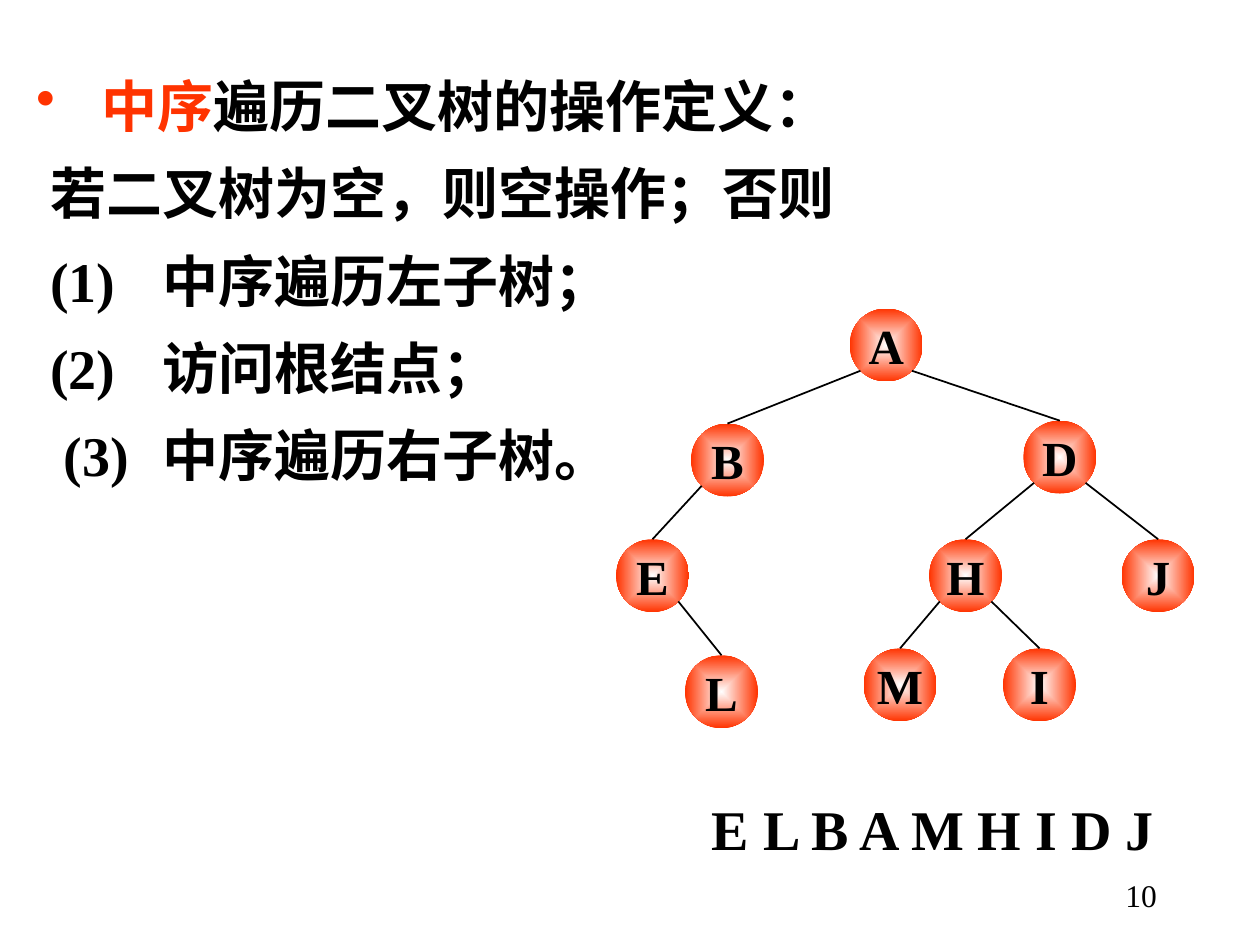
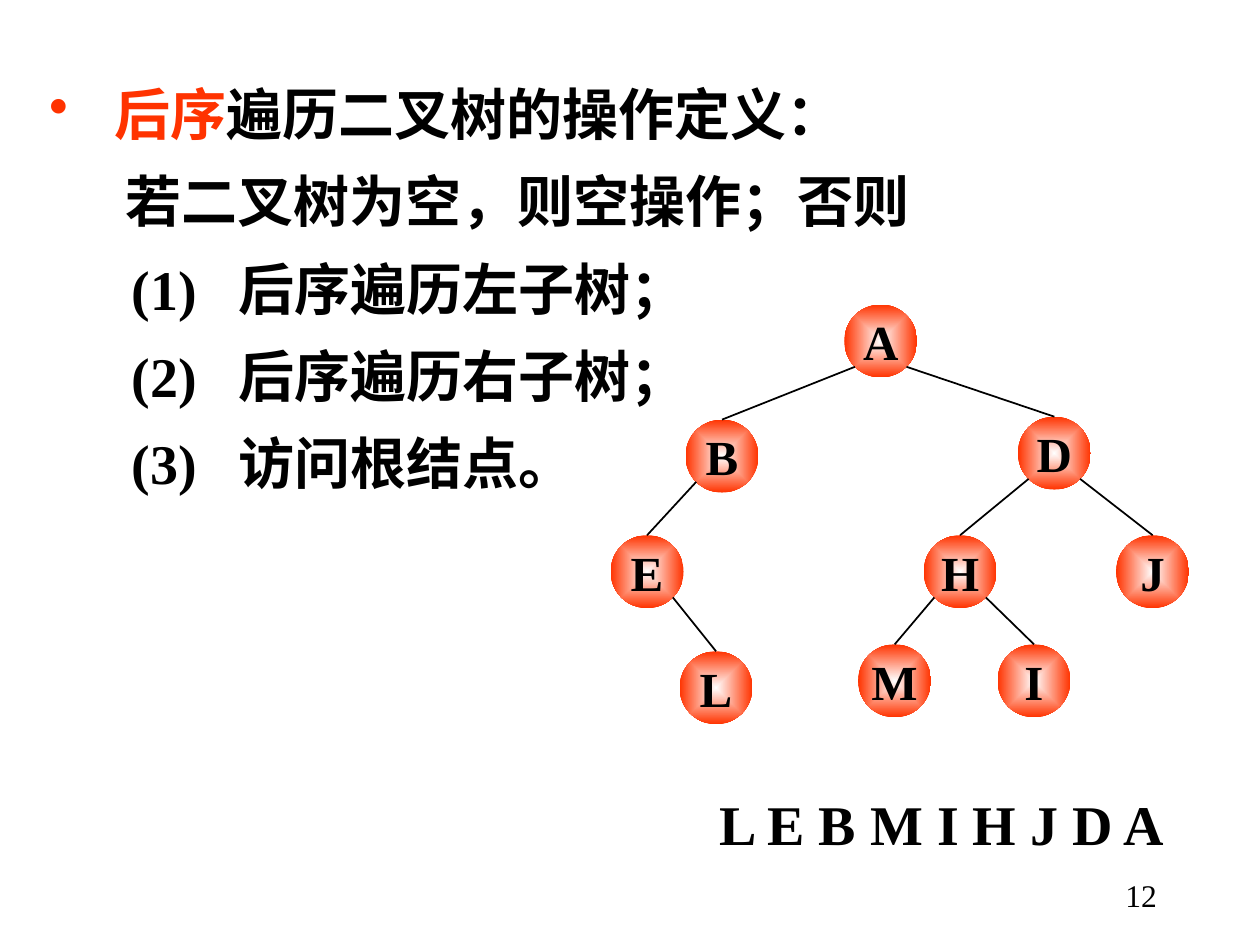
import math

import pptx
import pptx.util
import pptx.dml.color
import pptx.enum.shapes
import pptx.enum.text
import pptx.oxml
import pptx.oxml.ns
from lxml import etree

Cm = pptx.util.Cm
Pt = pptx.util.Pt
qn = pptx.oxml.ns.qn
ALIGN = pptx.enum.text.PP_ALIGN

COLORS = {"ink": "000000", "accent": "FF3300", "glow": "FFFFFF"}
SERIF = "Times New Roman"
FORMATS = {
    "definition": {"name": SERIF, "size": Pt(32), "bold": True},
    "node": {"name": SERIF, "size": Pt(28), "bold": True},
    "page": {"name": SERIF, "size": Pt(18), "bold": False},
}

TRAVERSALS = [
    {
        "order": "中序",
        "heading": "遍历二叉树的操作定义：",
        "condition": ("若二叉树为空，则空操作；否则", 0.28),
        "steps": [
            ("(1)", "中序遍历左子树；", 0.28),
            ("(2)", "访问根结点；", 0.28),
            ("(3)", "中序遍历右子树。", 0.56),
        ],
        "definition_at": (0.48, 0.91, 18.2, 9.07),
        "visited": "E L B A M H I D J",
        "visited_at": (14.1, 15.72, 10.2, 1.63),
        "tree_shift": (0, 0),
        "page": "10",
    },
    {
        "order": "后序",
        "heading": "遍历二叉树的操作定义：",
        "condition": ("若二叉树为空，则空操作；否则", 1.54),
        "steps": [
            ("(1)", "后序遍历左子树；", 1.66),
            ("(2)", "后序遍历右子树；", 1.66),
            ("(3)", "访问根结点。", 1.66),
        ],
        "definition_at": (0.74, 1.07, 20.3, 9.07),
        "visited": "L E B M I H J D A",
        "visited_at": (14.25, 15.62, 9.75, 1.63),
        "tree_shift": (-0.11, -0.08),
        "page": "12",
    },
]

NODES = {
    "A": (17.13, 6.22),
    "B": (13.93, 8.54),
    "D": (20.63, 8.48),
    "E": (12.42, 10.87),
    "H": (18.73, 10.87),
    "J": (22.61, 10.87),
    "L": (13.81, 13.21),
    "M": (17.41, 13.07),
    "I": (20.22, 13.07),
}
LEFT, RIGHT = -1, 1
BRANCHES = [
    ("A", "B", LEFT), ("A", "D", RIGHT), ("B", "E", LEFT), ("E", "L", RIGHT),
    ("D", "H", LEFT), ("D", "J", RIGHT), ("H", "M", LEFT), ("H", "I", RIGHT),
]
DIAMETER = 1.47
BULLET_GAP = 1.32
STEP_GAP = 2.13
PAGE_AT = (18.29, 17.53, 5.28, 1.27)


def rgb(color):
    return pptx.dml.color.RGBColor.from_string(COLORS[color])


def add_run(paragraph, text, style, color="ink"):
    run = paragraph.add_run()
    run.text = text
    for attribute, value in FORMATS[style].items():
        setattr(run.font, attribute, value)
    run.font.color.rgb = rgb(color)


def add_box(slide, at):
    frame = slide.shapes.add_textbox(*map(Cm, at)).text_frame
    frame.word_wrap = True
    return frame


def indent(paragraph, margin, first_line):
    properties = paragraph._p.get_or_add_pPr()
    properties.set("marL", str(Cm(margin)))
    properties.set("indent", str(Cm(first_line)))
    return properties


def add_definition(slide, traversal):
    frame = add_box(slide, traversal["definition_at"])

    heading = frame.paragraphs[0]
    properties = indent(heading, BULLET_GAP, -BULLET_GAP)
    bullet_color = etree.SubElement(properties, qn("a:buClr"))
    etree.SubElement(bullet_color, qn("a:srgbClr")).set("val", COLORS["accent"])
    etree.SubElement(properties, qn("a:buChar")).set("char", "•")
    add_run(heading, traversal["order"], "definition", "accent")
    add_run(heading, traversal["heading"], "definition")

    text, start = traversal["condition"]
    condition = frame.add_paragraph()
    indent(condition, 0, start)
    add_run(condition, text, "definition")

    for number, action, start in traversal["steps"]:
        step = frame.add_paragraph()
        properties = indent(step, 0, start)
        tabs = etree.SubElement(properties, qn("a:tabLst"))
        tab = etree.SubElement(tabs, qn("a:tab"))
        tab.set("pos", str(Cm(start + STEP_GAP)))
        tab.set("algn", "l")
        add_run(step, f"{number}\t{action}", "definition")

    for paragraph in frame.paragraphs:
        paragraph.line_spacing = 1.3


def fill_radiant(node):
    node.fill.gradient()
    for stop, (position, color) in zip(node.fill.gradient_stops, [(0, "glow"), (1, "accent")]):
        stop.position = position
        stop.color.rgb = rgb(color)
    gradient = node._element.spPr.find(qn("a:gradFill"))
    gradient.remove(gradient.find(qn("a:lin")))
    spread = etree.SubElement(gradient, qn("a:path"))
    spread.set("path", "rect")
    center = etree.SubElement(spread, qn("a:fillToRect"))
    for side in "ltrb":
        center.set(side, "50000")


def add_node(slide, letter, left, top):
    node = slide.shapes.add_shape(
        pptx.enum.shapes.MSO_SHAPE.OVAL, Cm(left), Cm(top), Cm(DIAMETER), Cm(DIAMETER))
    node.shadow.inherit = False
    node.line.fill.background()
    fill_radiant(node)
    frame = node.text_frame
    layout = {"margin_left": 0, "margin_right": 0, "margin_top": 0, "margin_bottom": 0,
              "word_wrap": False, "vertical_anchor": pptx.enum.text.MSO_ANCHOR.MIDDLE}
    for attribute, value in layout.items():
        setattr(frame, attribute, value)
    frame.paragraphs[0].alignment = ALIGN.CENTER
    add_run(frame.paragraphs[0], letter, "node")
    return node


def add_branch(slide, parent, child, side):
    radius = parent.width / 2
    reach = radius * math.sqrt(0.5)
    start_x = round(parent.left + radius + side * reach)
    start_y = round(parent.top + radius + reach)
    branch = slide.shapes.add_connector(
        pptx.enum.shapes.MSO_CONNECTOR.STRAIGHT, start_x, start_y,
        child.left + child.width // 2, child.top)
    branch.end_connect(child, 0)
    branch.line.width = Pt(1)
    branch.line.color.rgb = rgb("ink")
    etree.SubElement(branch._element.spPr, qn("a:effectLst"))


def add_tree(slide, shift):
    nodes = {letter: add_node(slide, letter, x + shift[0], y + shift[1])
             for letter, (x, y) in NODES.items()}
    for parent, child, side in BRANCHES:
        add_branch(slide, nodes[parent], nodes[child], side)


def add_visited(slide, traversal):
    frame = add_box(slide, traversal["visited_at"])
    frame.margin_top = Cm(0.3)
    add_run(frame.paragraphs[0], traversal["visited"], "definition")


def add_page(slide, number):
    paragraph = add_box(slide, PAGE_AT).paragraphs[0]
    paragraph.alignment = ALIGN.RIGHT
    add_run(paragraph, number, "page")


def main():
    deck = pptx.Presentation()
    deck.slide_width, deck.slide_height = Cm(25.4), Cm(19.05)
    for traversal in TRAVERSALS:
        slide = deck.slides.add_slide(deck.slide_layouts[6])
        add_definition(slide, traversal)
        add_visited(slide, traversal)
        add_tree(slide, traversal["tree_shift"])
        add_page(slide, traversal["page"])
    deck.save("out.pptx")


if __name__ == "__main__":
    main()
